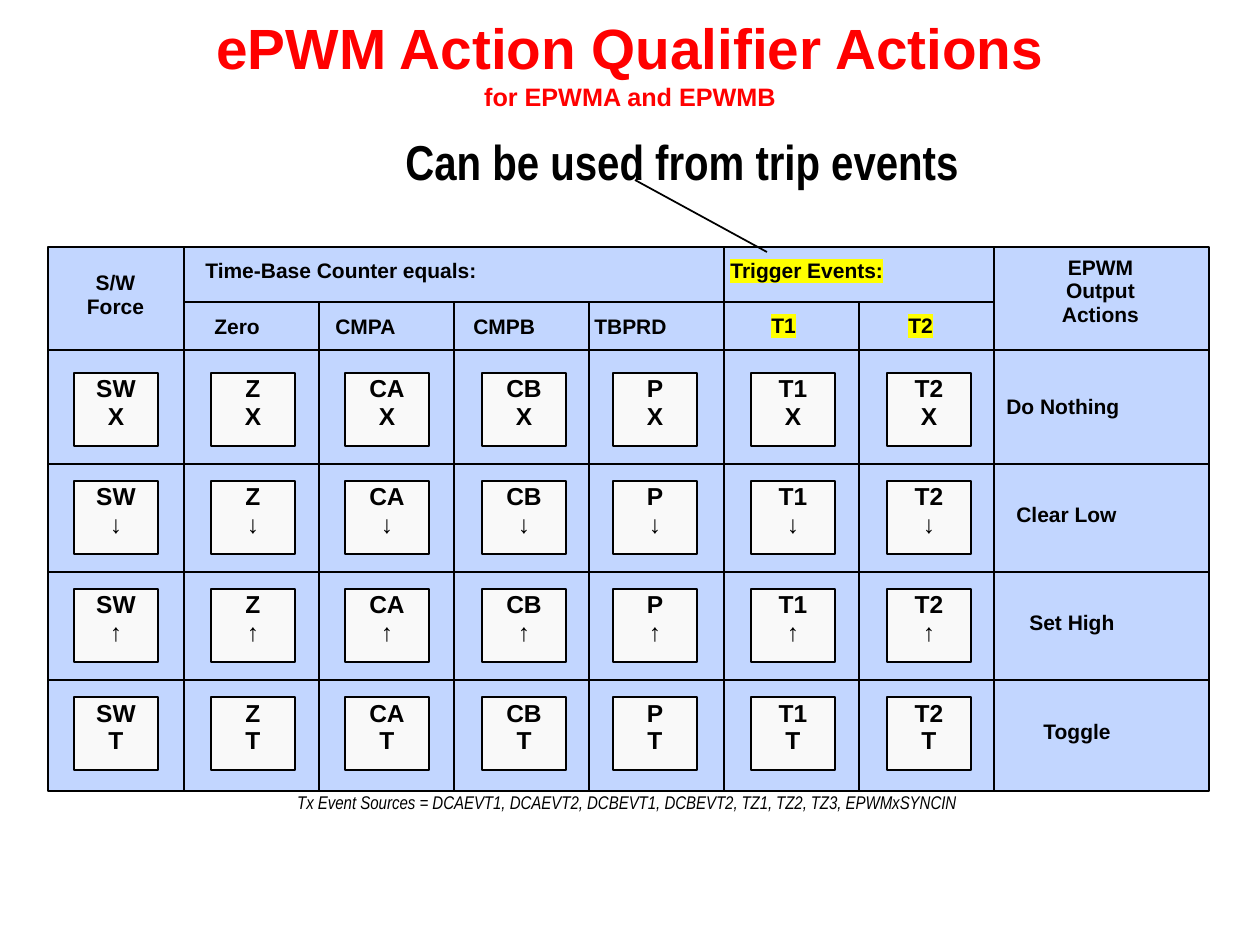
from lxml.etree import SubElement
from pptx import Presentation
from pptx.dml.color import RGBColor
from pptx.enum.shapes import MSO_CONNECTOR, MSO_SHAPE
from pptx.enum.text import MSO_ANCHOR, MSO_AUTO_SIZE, PP_ALIGN
from pptx.oxml import parse_xml
from pptx.oxml.ns import nsdecls, qn
from pptx.util import Pt

SCALE = 914400 / 126
COLORS = {
    "title": "FF0000",
    "ink": "000000",
    "panel": "C2D6FF",
    "tile": "F9F9F9",
    "mark": "FFFF00",
}


def px(*lengths):
    return [round(length * SCALE) for length in lengths]


def write_text(shape, text, size, align=PP_ALIGN.LEFT, font="Arial", bold=True, color="ink"):
    frame = shape.text_frame
    frame.text = text
    for index, paragraph in enumerate(frame.paragraphs):
        paragraph.alignment = align
        paragraph.line_spacing = 0.8
        paragraph.space_before = Pt(2 if index else 0)
        for span in paragraph.runs:
            span.font.name = font
            span.font.size = Pt(size)
            span.font.bold = bold
            span.font.color.rgb = RGBColor.from_string(COLORS[color])
    return frame


deck = Presentation()
deck.slide_width, deck.slide_height = px(1260, 945)
page = deck.slides.add_slide(deck.slide_layouts[5])

title = page.shapes.title
title.left, title.top, title.width, title.height = px(0, 0, 1260, 102)
frame = write_text(title, "ePWM Action Qualifier Actions\vfor EPWMA and EPWMB", 32.4,
                   PP_ALIGN.CENTER, color="title")
frame.auto_size = MSO_AUTO_SIZE.NONE
frame.vertical_anchor = MSO_ANCHOR.TOP
frame.margin_top = px(13)[0]
frame.paragraphs[0].line_spacing = 1.0
frame.paragraphs[0].runs[1].font.size = Pt(14.4)

left, right, top, bottom = 48, 1209, 247, 791
column_edges = [184 + 135 * number for number in range(7)]
row_edges = [350, 464, 572, 680]
header_split = 302

panel = page.shapes.add_shape(MSO_SHAPE.RECTANGLE, *px(left, top, right - left, bottom - top))
panel.shadow.inherit = False
panel.fill.solid()
panel.fill.fore_color.rgb = RGBColor.from_string(COLORS["panel"])
panel.line.color.rgb = RGBColor.from_string(COLORS["ink"])
panel.line.width = Pt(1)

full_height_edges = (column_edges[0], column_edges[4], column_edges[6])
lines = [(left, y, right, y) for y in row_edges]
lines.append((column_edges[0], header_split, column_edges[6], header_split))
lines += [(x, top if x in full_height_edges else header_split, x, bottom) for x in column_edges]
callout_line = (767, 252, 635, 180)
for line in lines + [callout_line]:
    connector = page.shapes.add_connector(MSO_CONNECTOR.STRAIGHT, *px(*line))
    connector.line.color.rgb = RGBColor.from_string(COLORS["ink"])
    connector.line.width = Pt(1)
    SubElement(connector._element.spPr, qn("a:effectLst"))

signals = [("SW", 74), ("Z", 211), ("CA", 345), ("CB", 482), ("P", 613), ("T1", 751), ("T2", 887)]
actions = ["X", "↓", "↑", "T"]
for signal, tile_left in signals:
    for row, action in enumerate(actions):
        tile = page.shapes.add_shape(MSO_SHAPE.RECTANGLE, *px(tile_left, 373 + 108 * row, 84, 73))
        tile.shadow.inherit = False
        tile.fill.solid()
        tile.fill.fore_color.rgb = RGBColor.from_string(COLORS["tile"])
        tile.line.color.rgb = RGBColor.from_string(COLORS["ink"])
        tile.line.width = Pt(1)
        frame = write_text(tile, f"{signal}\n{action}", 14, PP_ALIGN.CENTER)
        frame.vertical_anchor = MSO_ANCHOR.TOP

labels = [
    ("S/W\nForce", 74, 268, 83, 55, PP_ALIGN.CENTER),
    ("EPWM\nOutput\nActions", 1049, 253, 103, 79, PP_ALIGN.CENTER),
    ("Time-Base Counter equals:", 193, 256, 300, 33, PP_ALIGN.LEFT),
    ("Trigger Events:", 718, 256, 180, 33, PP_ALIGN.LEFT),
    ("Zero", 202, 312, 72, 33, PP_ALIGN.LEFT),
    ("CMPA", 323, 312, 86, 33, PP_ALIGN.LEFT),
    ("CMPB", 461, 312, 88, 33, PP_ALIGN.LEFT),
    ("TBPRD", 582, 312, 98, 33, PP_ALIGN.LEFT),
    ("T1", 759, 311, 50, 33, PP_ALIGN.LEFT),
    ("T2", 896, 311, 50, 33, PP_ALIGN.LEFT),
    ("Do Nothing", 994, 392, 140, 33, PP_ALIGN.LEFT),
    ("Clear Low", 1004, 500, 127, 33, PP_ALIGN.LEFT),
    ("Set High", 1017, 608, 112, 33, PP_ALIGN.LEFT),
    ("Toggle", 1031, 717, 93, 33, PP_ALIGN.LEFT),
]
highlighted = ("Trigger Events:", "T1", "T2")
for text, x, y, width, height, align in labels:
    label = page.shapes.add_textbox(*px(x, y, width, height))
    frame = write_text(label, text, 12, align)
    frame.word_wrap = False
    if text in highlighted:
        properties = frame.paragraphs[0].runs[0].font._element
        highlight = parse_xml(
            f'<a:highlight {nsdecls("a")}><a:srgbClr val="{COLORS["mark"]}"/></a:highlight>')
        properties.find(qn("a:latin")).addprevious(highlight)

footnote = page.shapes.add_textbox(*px(42, 789, 1170, 30))
frame = write_text(
    footnote,
    "Tx Event Sources = DCAEVT1, DCAEVT2, DCBEVT1, DCBEVT2, TZ1, TZ2, TZ3, EPWMxSYNCIN",
    10.5, PP_ALIGN.CENTER, "Arial Narrow", bold=False)
frame.word_wrap = True
frame.vertical_anchor = MSO_ANCHOR.MIDDLE
frame.paragraphs[0].runs[0].font.italic = True

callout = page.shapes.add_textbox(*px(393, 136, 583, 60))
frame = write_text(callout, "Can be used from trip events", 28, font="Arial Narrow")
frame.word_wrap = False
frame.vertical_anchor = MSO_ANCHOR.MIDDLE

deck.save("out.pptx")
